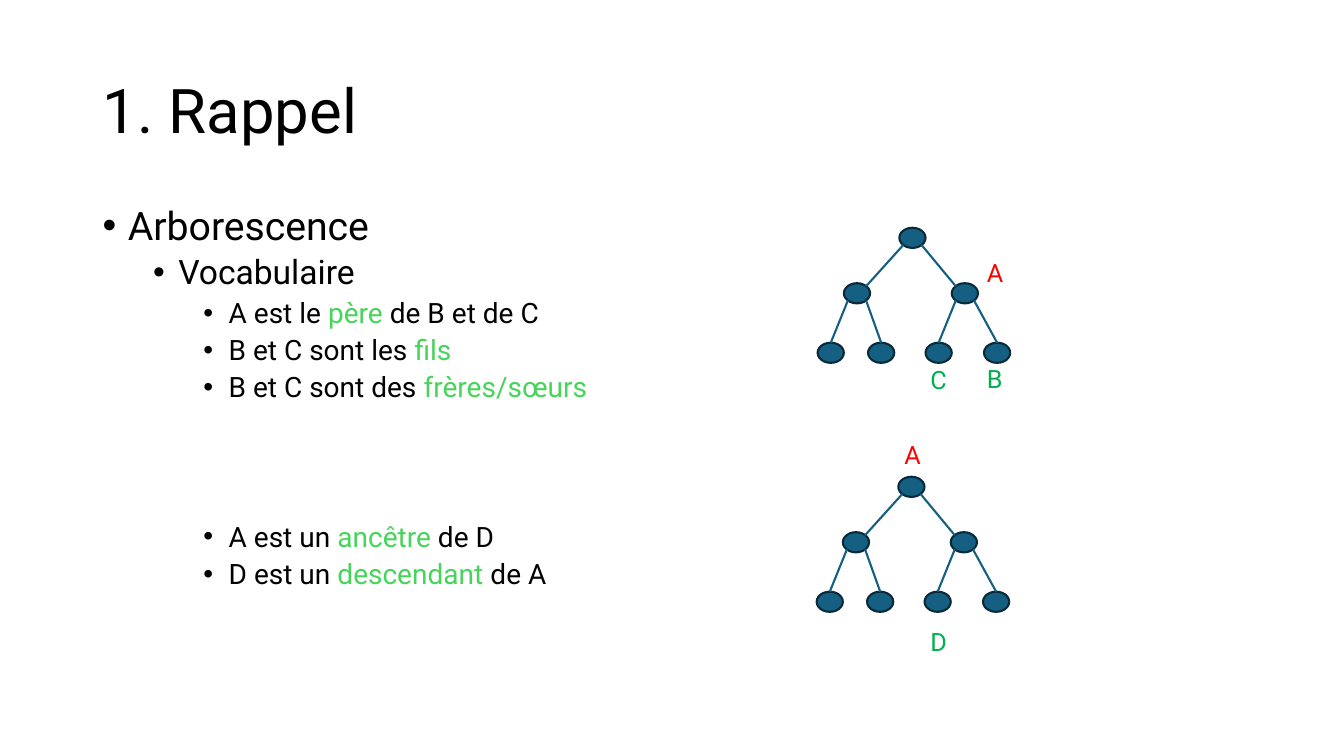
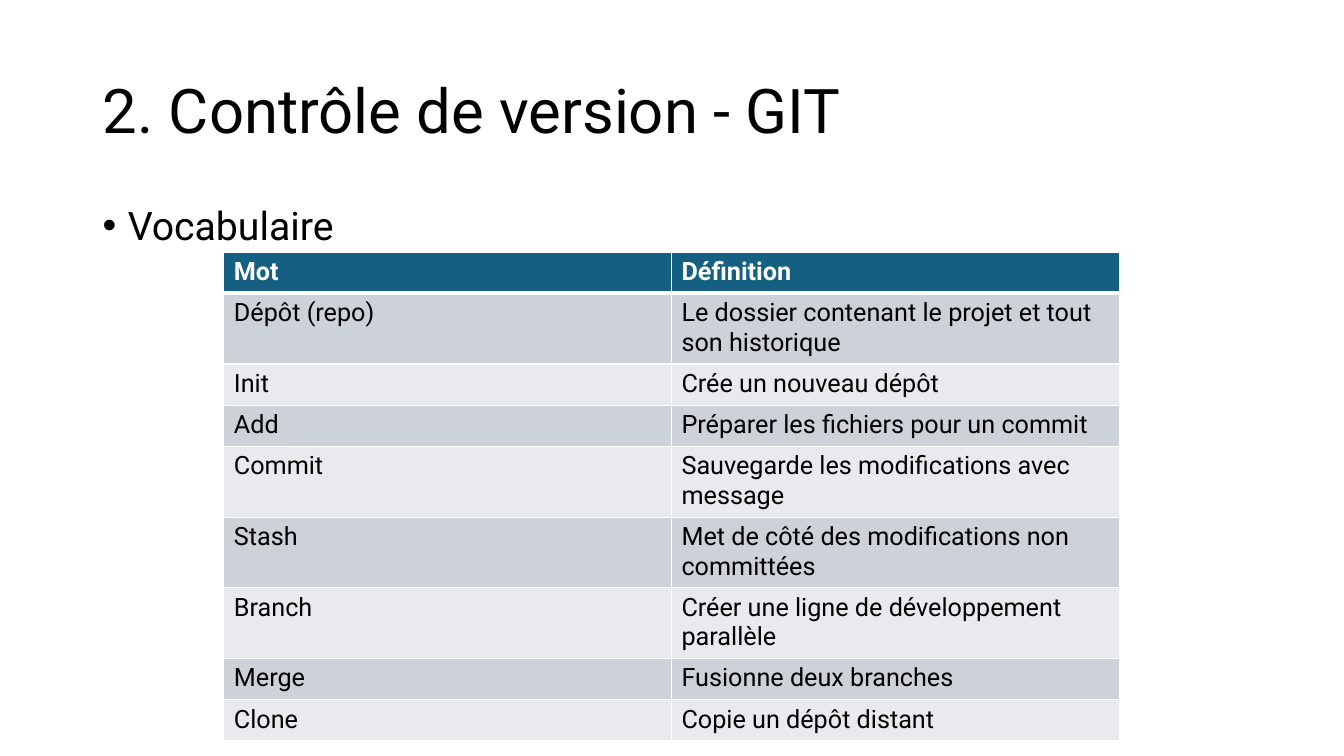
from pptx import Presentation
from pptx.dml.color import RGBColor as RGB
from pptx.enum.shapes import MSO_CONNECTOR as Link, MSO_SHAPE as Kind
from pptx.enum.text import MSO_ANCHOR as Anchor, MSO_AUTO_SIZE as Fit, PP_ALIGN as Align
from pptx.oxml.ns import qn
from pptx.util import Pt
from lxml.etree import SubElement as Sub, Element

PX = 9144
FONT = "Roboto"
BLACK = RGB(0x00, 0x00, 0x00)
WHITE = RGB(0xFF, 0xFF, 0xFF)
BLUE = RGB(0x15, 0x60, 0x82)
NAVY = RGB(0x09, 0x2A, 0x39)
LIME = RGB(0x47, 0xD4, 0x5A)
GREEN = RGB(0x00, 0xB0, 0x50)
RED = RGB(0xFF, 0x00, 0x00)
BANDS = RGB(0xCC, 0xD2, 0xD8), RGB(0xE8, 0xEA, 0xED)
SIZES = 28, 24, 20
NODE_W, NODE_H = 26, 20
DIAG_X, DIAG_Y = 9, 7
NODES = [(0, 0), (-55, 55), (52, 55), (-81, 114), (-31, 114), (26, 114), (84, 114)]


class Deck:
    """Holds the shared style and the current slide."""

    def __init__(self):
        self.prs = Presentation()
        self.prs.slide_width, self.prs.slide_height = self.emu(1333, 750)

    def emu(self, *vals):
        return [val * PX for val in vals]

    def style(self, run, size, color, bold=False):
        font = run.font
        font.name, font.size, font.bold = FONT, Pt(size), bold
        font.color.rgb = color

    def page(self, text):
        self.slide = self.prs.slides.add_slide(self.prs.slide_layouts[5])
        self.shapes = self.slide.shapes
        title = self.shapes.title
        title.left, title.top, title.width, title.height = self.emu(92, 40, 1150, 145)
        frame = title.text_frame
        frame.text = text
        frame.vertical_anchor = Anchor.MIDDLE
        para = frame.paragraphs[0]
        para.alignment, para.line_spacing = Align.LEFT, 0.9
        self.style(para.runs[0], 44, BLACK)

    def bullets(self, items, high):
        frame = self.shapes.add_textbox(*self.emu(92, 200, 1150, high)).text_frame
        frame.word_wrap = True
        for num, (level, text, gap) in enumerate(items):
            para = frame.add_paragraph() if num else frame.paragraphs[0]
            para.level, para.line_spacing, para.space_before = level, 0.9, Pt(gap)
            props = para._p.get_or_add_pPr()
            props.set("marL", str((25 + 50 * level) * PX))
            props.set("indent", str(-25 * PX))
            Sub(props, qn("a:buFont"), typeface="Arial")
            Sub(props, qn("a:buChar"), char="•")
            for part, words in enumerate(text.split("*")):
                if words:
                    run = para.add_run()
                    run.text = words
                    self.style(run, SIZES[level], LIME if part % 2 else BLACK)

    def label(self, text, x, y, wide, color):
        frame = self.shapes.add_textbox(*self.emu(x, y, wide, 40)).text_frame
        frame.text = text
        frame.word_wrap, frame.auto_size = False, Fit.SHAPE_TO_FIT_TEXT
        self.style(frame.paragraphs[0].runs[0], 18, color)

    def node(self, x, y):
        dot = self.shapes.add_shape(Kind.OVAL, *self.emu(x, y, NODE_W, NODE_H))
        dot.shadow.inherit = False
        dot.fill.solid()
        dot.fill.fore_color.rgb = BLUE
        dot.line.color.rgb, dot.line.width = NAVY, Pt(1.5)

    def edge(self, *ends):
        line = self.shapes.add_connector(Link.STRAIGHT, *self.emu(*ends))
        line.line.color.rgb, line.line.width = BLUE, Pt(1.5)
        Sub(line._element.spPr, qn("a:effectLst"))

    def tree(self, x, y):
        spots = [(x + dx, y + dy) for dx, dy in NODES]
        for spot in spots:
            self.node(*spot)
        mids = [(left + NODE_W // 2, top + NODE_H // 2) for left, top in spots]
        for kid in range(1, len(mids)):
            px, py = mids[(kid - 1) // 2]
            cx, cy = mids[kid]
            side = -1 if kid % 2 else 1
            if kid < 3:
                end = cx - side * DIAG_X, cy - DIAG_Y
            else:
                end = cx, cy - NODE_H // 2
            self.edge(px + side * DIAG_X, py + DIAG_Y, *end)

    def border(self, cell, last):
        props = cell._tc.get_or_add_tcPr()
        for spot, side in enumerate("LRTB"):
            wide = last if side == "B" else 1
            line = Element(qn("a:ln" + side), w=str(Pt(wide)))
            Sub(Sub(line, qn("a:solidFill")), qn("a:srgbClr"), val=str(WHITE))
            props.insert(spot, line)

    def table(self, rows, x, y, wide, high):
        area = self.emu(x, y, wide, high * len(rows))
        grid = self.shapes.add_table(len(rows), len(rows[0]), *area).table
        for r, row in enumerate(rows):
            for c, text in enumerate(row):
                cell = grid.cell(r, c)
                cell.text = text
                cell.fill.solid()
                cell.fill.fore_color.rgb = BANDS[(r - 1) % 2] if r else BLUE
                self.border(cell, 1 if r else 3)
                run = cell.text_frame.paragraphs[0].runs[0]
                self.style(run, 18, BLACK if r else WHITE, r == 0)


def main():
    deck = Deck()
    deck.page("1. Rappel")
    deck.bullets([
        (0, "Arborescence", 10),
        (1, "Vocabulaire", 5),
        (2, "A est le *père* de B et de C", 5),
        (2, "B et C sont les *fils", 5),
        (2, "B et C sont des *frères/sœurs", 5),
        (2, "A est un *ancêtre* de D", 85),
        (2, "D est un *descendant* de A", 5),
    ], 476)
    deck.tree(892, 226)
    deck.tree(891, 473)
    for mark in [
        ("A", 969, 250, 35, RED),
        ("C", 913, 357, 38, GREEN),
        ("B", 969, 356, 35, GREEN),
        ("A", 887, 431, 35, RED),
        ("D", 913, 616, 38, GREEN),
    ]:
        deck.label(*mark)

    deck.page("2. Contrôle de version - GIT")
    deck.bullets([(0, "Vocabulaire", 10)], 50)
    deck.table([
        ("Mot", "Définition"),
        ("Dépôt (repo)", "Le dossier contenant le projet et tout son historique"),
        ("Init", "Crée un nouveau dépôt"),
        ("Add", "Préparer les fichiers pour un commit"),
        ("Commit", "Sauvegarde les modifications avec message"),
        ("Stash", "Met de côté des modifications non committées"),
        ("Branch", "Créer une ligne de développement parallèle"),
        ("Merge", "Fusionne deux branches"),
        ("Clone", "Copie un dépôt distant"),
    ], 222, 250, 888, 41)
    deck.prs.save("out.pptx")


if __name__ == "__main__":
    main()
